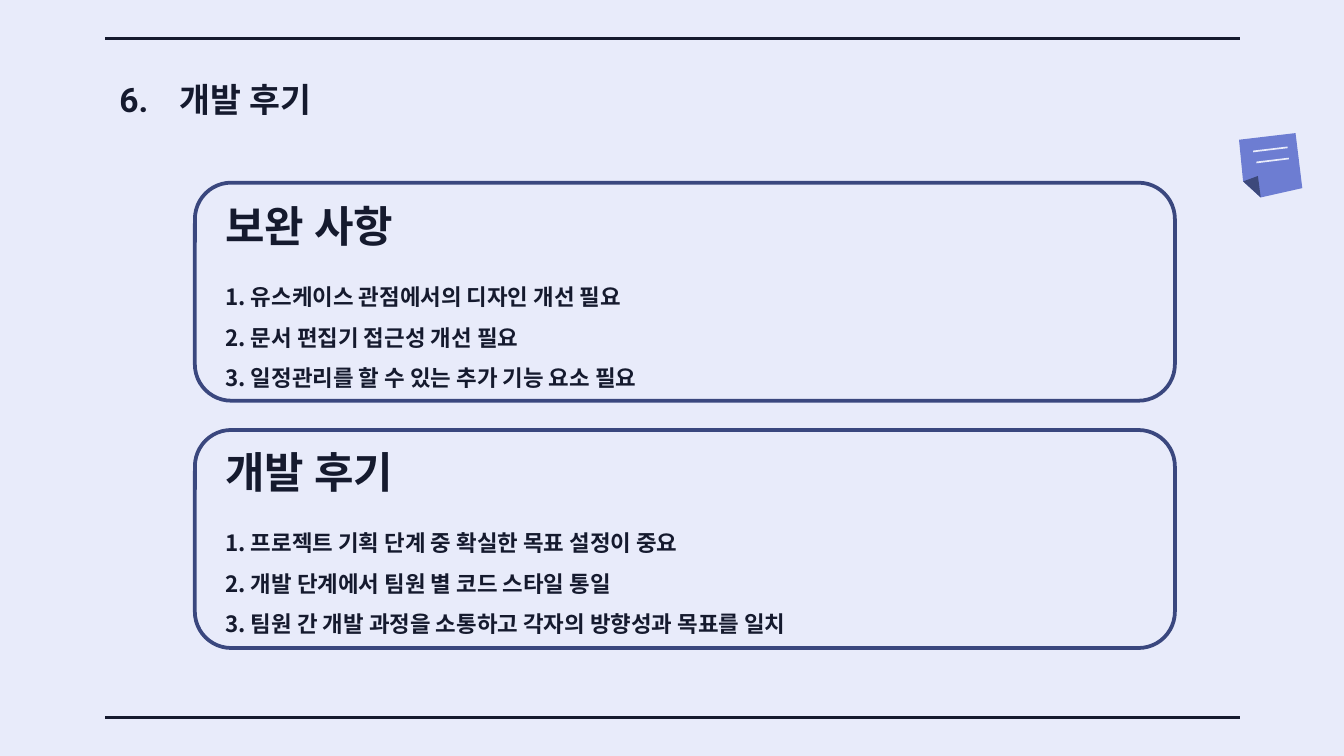
from lxml import etree
from pptx import Presentation
from pptx.dml.color import RGBColor
from pptx.enum.shapes import MSO_CONNECTOR, MSO_SHAPE
from pptx.enum.text import MSO_ANCHOR, MSO_AUTO_SIZE, PP_ALIGN
from pptx.oxml.ns import qn
from pptx.util import Pt

STRAIGHT = MSO_CONNECTOR.STRAIGHT
ROUNDED = MSO_SHAPE.ROUNDED_RECTANGLE
TOP, BOTTOM = MSO_ANCHOR.TOP, MSO_ANCHOR.BOTTOM
NO_AUTOFIT = MSO_AUTO_SIZE.NONE
LEFT = PP_ALIGN.LEFT

INK, PAPER, FRAME = "151A2E", "E8EBFA", "3A477E"
NOTE, FOLD = "6D7DD2", "3D497B"
KOREAN, LATIN = "Noto Sans CJK KR", "Roboto"


def color(hex_string):
    return RGBColor.from_string(hex_string)


def fill_placeholder(box, place, lines, font, size, margin, indent,
                     anchor=TOP, spacing=1.0):
    """Place a placeholder and set its lines as bold, unbulleted paragraphs."""
    box.left, box.top, box.width, box.height = [Pt(length) for length in place]
    frame = box.text_frame
    frame.text = "\n".join(lines)
    frame.auto_size = NO_AUTOFIT
    frame.word_wrap = True
    frame.vertical_anchor = anchor
    frame.margin_left = frame.margin_right = Pt(7.2)
    frame.margin_top = frame.margin_bottom = Pt(7.2)
    for para in frame.paragraphs:
        para.alignment = LEFT
        para.line_spacing = spacing
        para.space_before = para.space_after = Pt(0)
        properties = para._p.get_or_add_pPr()
        properties.set("marL", str(Pt(margin)))
        properties.set("indent", str(Pt(indent)))
        etree.SubElement(properties, qn("a:buNone"))
        for span in para.runs:
            span.font.name = font
            span.font.size = Pt(size)
            span.font.bold = True
            span.font.color.rgb = color(INK)
            east_asian = etree.SubElement(span._r.rPr, qn("a:ea"))
            east_asian.set("typeface", KOREAN)


deck = Presentation()
deck.slide_width, deck.slide_height = Pt(720), Pt(405)
page = deck.slides.add_slide(deck.slide_layouts.get_by_name("Comparison"))
page.background.fill.solid()
page.background.fill.fore_color.rgb = color(PAPER)
shapes = page.shapes

# Rules along the top and bottom
for y in (20.7, 384.3):
    rule = shapes.add_connector(STRAIGHT, Pt(56.3), Pt(y), Pt(664.4), Pt(y))
    rule.line.color.rgb = color(INK)
    rule.line.width = Pt(1.5)
    etree.SubElement(rule._element.spPr, qn("a:effectLst"))

# Sticky note: sheet, folded corner and two written lines
note_parts = [
    (NOTE, [(694.1, 71.3), (697.7, 100.8), (675.4, 105.8), (666, 97.2), (663.8, 74.9)]),
    (FOLD, [(673.9, 94.3), (675.4, 105.8), (666, 97.2)]),
    (PAPER, [(689.8, 78.5), (689.9, 79.4), (671.4, 81.6), (671.3, 80.7)]),
    (PAPER, [(690.4, 84.5), (690.5, 85.4), (673.1, 87.5), (673, 86.6)]),
]
for fill, points in note_parts:
    tenths = [(x * 10, y * 10) for x, y in points]
    builder = shapes.build_freeform(*tenths[0], scale=Pt(1) / 10)
    builder.add_line_segments(tenths[1:], close=True)
    part = builder.convert_to_shape()
    part.fill.solid()
    part.fill.fore_color.rgb = color(fill)
    part.line.fill.background()
    part.shadow.inherit = False

# A tab to the hanging indent sets the title apart from its number
fill_placeholder(shapes.title, (56.7, 35.1, 607, 45), ["6.\t개발 후기"],
                 LATIN, 18, 32.5, -32.5)

sections = [
    ("보완 사항", [
        "1. 유스케이스 관점에서의 디자인 개선 필요",
        "2. 문서 편집기 접근성 개선 필요",
        "3. 일정관리를 할 수 있는 추가 기능 요소 필요",
    ]),
    ("개발 후기", [
        "1. 프로젝트 기획 단계 중 확실한 목표 설정이 중요",
        "2. 개발 단계에서 팀원 별 코드 스타일 통일",
        "3. 팀원 간 개발 과정을 소통하고 각자의 방향성과 목표를 일치",
    ]),
]
placeholders = {box.placeholder_format.idx: box for box in page.placeholders}
for index, (heading, items) in enumerate(sections):
    text_top = 97.9 + 131.8 * index
    fill_placeholder(placeholders[2 * index + 1], (101.5, text_top, 527.8, 43.9),
                     [heading], LATIN, 23, 36, -24, anchor=BOTTOM)
    fill_placeholder(placeholders[2 * index + 2], (101.5, text_top + 39.6, 527.8, 86.4),
                     items, KOREAN, 12, 36, -24, spacing=1.5)
    frame_box = shapes.add_shape(ROUNDED, Pt(104.4), Pt(97.9 + 132.5 * index),
                                 Pt(525), Pt(116.8))
    frame_box.fill.background()
    frame_box.line.color.rgb = color(FRAME)
    frame_box.line.width = Pt(2)
    frame_box.shadow.inherit = False

deck.save("out.pptx")
